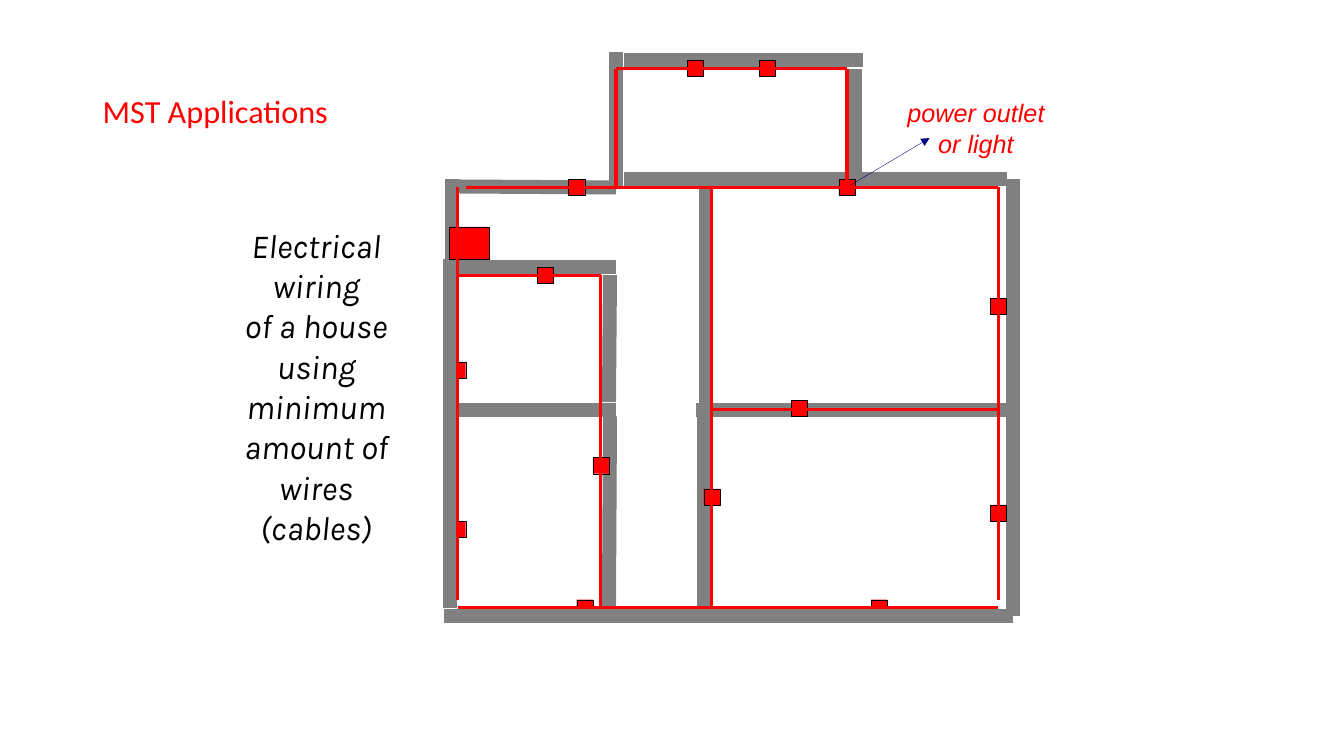
from pptx import Presentation
from pptx.dml.color import RGBColor
from pptx.enum.shapes import MSO_CONNECTOR, MSO_SHAPE
from pptx.enum.text import MSO_ANCHOR, MSO_AUTO_SIZE, PP_ALIGN
from pptx.oxml.ns import qn
from pptx.util import Inches, Pt
from lxml.etree import SubElement

RED = RGBColor(0xFF, 0x00, 0x00)
GRAY = RGBColor(0x80, 0x80, 0x80)
NAVY = RGBColor(0x00, 0x00, 0x80)
BLACK = RGBColor(0x00, 0x00, 0x00)

OUTLET_SIZE = 0.16

# Lines are (x1, y1, x2, y2); outlets are (left, top).
INNER_WALLS = [
    (6.04, 3.99, 6.05, 2.73), (6.19, 0.6, 8.56, 0.6), (8.48, 0.68, 8.48, 1.78),
    (10.05, 1.78, 10.05, 4.07), (10.05, 4.07, 10.05, 6.11), (6.19, 1.78, 8.42, 1.78),
    (8.42, 1.78, 9.99, 1.78), (4.54, 4.07, 6.11, 4.07), (6.11, 2.65, 4.54, 2.65),
    (6.9, 4.07, 10.05, 4.07), (6.11, 1.86, 6.11, 0.52), (6.05, 4.13, 6.04, 6.03),
    (7, 1.84, 7, 4.14), (6.98, 4.14, 6.98, 6.03), (4.54, 1.85, 6.11, 1.86),
]
OUTLETS = [
    (5.72, 5.95), (4.46, 5.17), (8.64, 5.95), (9.82, 5.01), (9.82, 2.96),
    (7.85, 3.97), (8.32, 1.78), (6.82, 0.6), (7.53, 0.6), (4.46, 3.59),
    (5.33, 2.65), (5.88, 4.54), (6.98, 4.85), (5.64, 1.78),
]
# These walls cover part of the outlets set into them.
FRONT_WALLS = [
    (4.48, 1.78, 4.48, 2.65), (4.46, 2.57, 4.46, 4.14), (4.46, 4.14, 4.46, 6.03),
    (4.4, 6.11, 6.92, 6.11), (6.9, 6.11, 10.05, 6.11),
]
WIRES = [
    (4.54, 6.03, 9.9, 6.03), (9.9, 5.95, 9.9, 1.86), (9.9, 1.86, 4.62, 1.86),
    (5.96, 2.73, 5.96, 6.03), (4.54, 2.73, 5.96, 2.73), (6.11, 0.68, 6.11, 1.86),
    (6.11, 0.68, 8.4, 0.68), (8.4, 0.68, 8.4, 1.86), (7.06, 1.86, 7.06, 6.03),
    (7.06, 4.06, 9.9, 4.06), (4.54, 1.86, 4.54, 5.95),
]


class FloorPlan:
    def __init__(self, slide):
        self.slide = slide

    def line(self, ends, color, width):
        connector = self.slide.shapes.add_connector(
            MSO_CONNECTOR.STRAIGHT, *(Inches(value) for value in ends))
        connector.line.color.rgb = color
        connector.line.width = Pt(width)
        SubElement(connector._element.spPr, qn("a:effectLst"))
        return connector

    def wall(self, ends):
        self.line(ends, GRAY, 10)

    def wire(self, ends):
        self.line(ends, RED, 2.25)

    def arrow(self, ends):
        connector = self.line(ends, NAVY, 0.25)
        SubElement(connector.line._get_or_add_ln(), qn("a:tailEnd"), type="triangle")

    def box(self, left, top, width=OUTLET_SIZE, height=OUTLET_SIZE):
        shape = self.slide.shapes.add_shape(
            MSO_SHAPE.RECTANGLE, Inches(left), Inches(top), Inches(width), Inches(height))
        shape.shadow.inherit = False
        shape.fill.solid()
        shape.fill.fore_color.rgb = RED
        shape.line.color.rgb = BLACK
        shape.line.width = Pt(0.25)

    def text(self, bounds, lines, font, size, color):
        shape = self.slide.shapes.add_textbox(*(Inches(value) for value in bounds))
        frame = shape.text_frame
        frame.text = "\n".join(lines)
        for paragraph in frame.paragraphs:
            paragraph.font.name = font
            paragraph.font.size = Pt(size)
            paragraph.font.color.rgb = color
        return frame

    def title(self, bounds, title):
        frame = self.text(bounds, [title], "Calibri", 23, RED)
        frame.word_wrap = True
        frame.vertical_anchor = MSO_ANCHOR.MIDDLE
        frame.paragraphs[0].line_spacing = 0.9

    def caption(self, bounds, lines, font, size, color):
        frame = self.text(bounds, lines, font, size, color)
        frame.word_wrap = False
        frame.auto_size = MSO_AUTO_SIZE.SHAPE_TO_FIT_TEXT
        for paragraph in frame.paragraphs:
            paragraph.alignment = PP_ALIGN.CENTER
            paragraph.font.italic = True


def main():
    presentation = Presentation()
    presentation.slide_width = Inches(13.33)
    presentation.slide_height = Inches(7.5)
    plan = FloorPlan(presentation.slides.add_slide(presentation.slide_layouts[6]))

    plan.title((0.92, 0.4, 11.5, 1.45), "MST Applications")
    for wall in INNER_WALLS:
        plan.wall(wall)
    for left, top in OUTLETS:
        plan.box(left, top)
    for wall in FRONT_WALLS:
        plan.wall(wall)
    plan.box(4.46, 2.25, 0.39, 0.32)
    for wire in WIRES:
        plan.wire(wire)

    plan.caption((2.25, 2.18, 1.77, 3.33),
                 ["Electrical", "wiring", "of a house", "using", "minimum",
                  "amount of", "wires", "(cables)"], "Karla", 24, BLACK)
    plan.arrow((8.43, 1.84, 9.22, 1.37))
    plan.caption((8.86, 0.92, 1.64, 0.71), ["power outlet", "or light"], "Arial", 18, RED)
    presentation.save("out.pptx")


if __name__ == "__main__":
    main()
